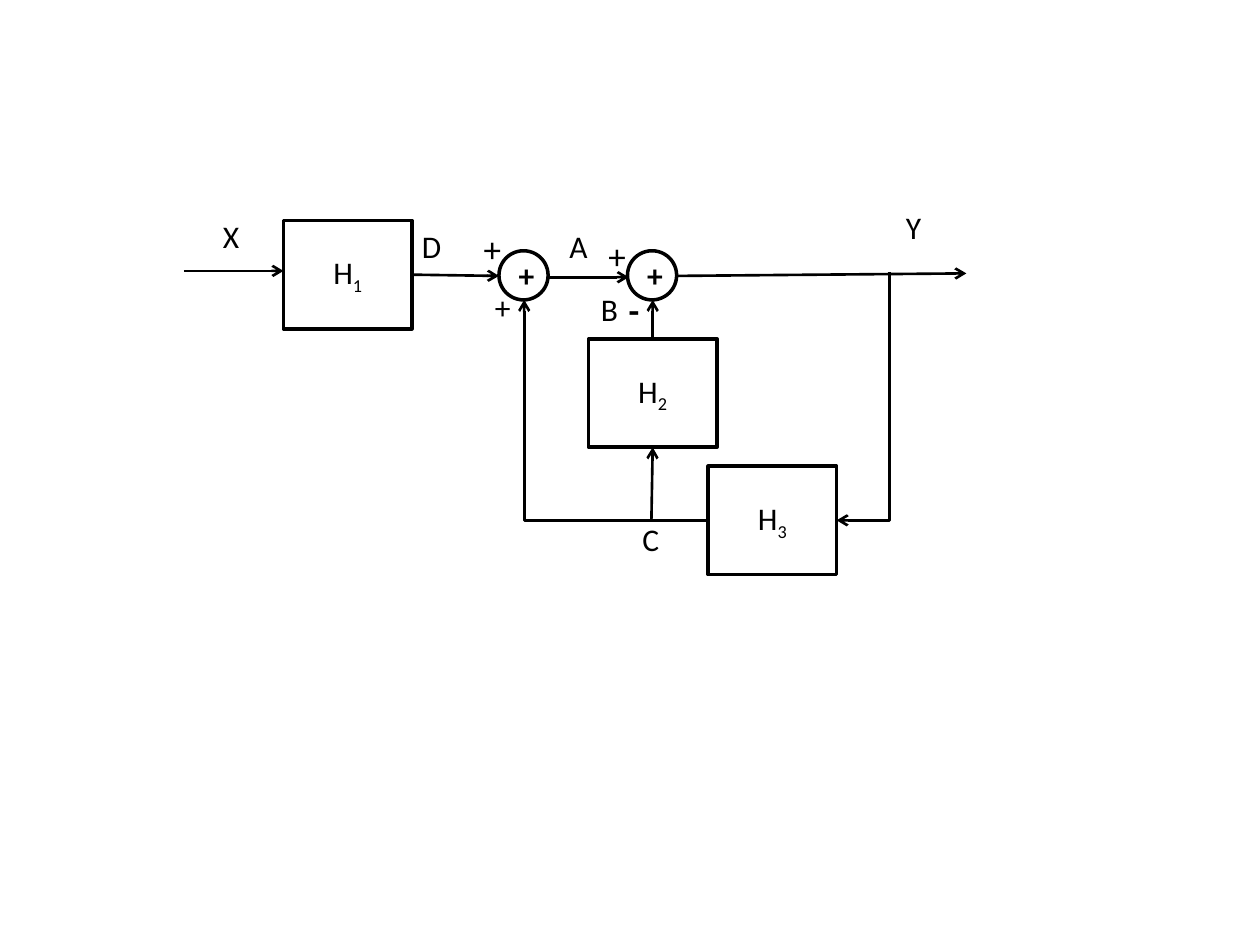
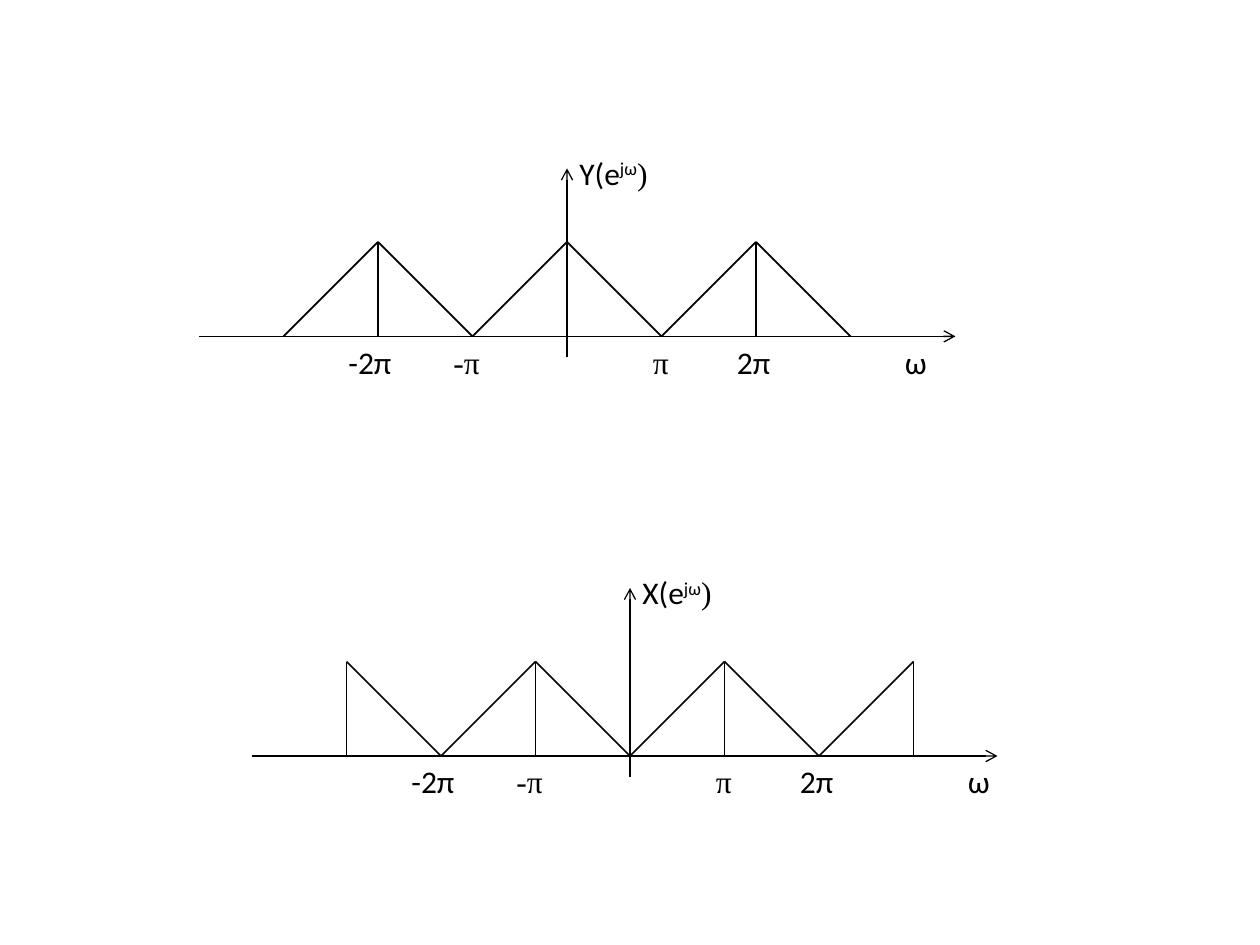
from lxml.etree import SubElement
from pptx import Presentation
from pptx.dml.color import RGBColor
from pptx.enum.shapes import MSO_CONNECTOR, MSO_SHAPE
from pptx.enum.text import MSO_ANCHOR, MSO_AUTO_SIZE, PP_ALIGN
from pptx.oxml.ns import qn
from pptx.util import Inches, Pt

WIDTH, HEIGHT = 10, 7.5
INK = "000000"
BODY, SERIF = "Calibri", "Times New Roman"
SUBSCRIPT, SUPERSCRIPT = -25, 30


def colour(value):
    return RGBColor.from_string(value)


def fill_text(frame, spans, points=18, bold=False, font=BODY):
    """Fill a frame from (text, baseline, font or None) spans."""
    para = frame.paragraphs[0]
    para.font.name, para.font.size = font, Pt(points)
    para.font.bold = bold
    para.font.color.rgb = colour(INK)
    for text, baseline, own_font in spans:
        span = para.add_run()
        span.text = text
        if baseline:
            span._r.get_or_add_rPr().set("baseline", str(baseline * 1000))
        if own_font:
            span.font.name = own_font
    return para


class Canvas:
    """A group of parts on a square grid, measured from its own origin."""

    def __init__(self, page, left, top, cell):
        self.shapes = page.shapes.add_group_shape().shapes
        self.left, self.top, self.cell = left, top, cell

    def point(self, x, y):
        return (Inches(self.left + x * self.cell),
                Inches(self.top + y * self.cell))

    def size(self, length):
        return Inches(length * self.cell)

    def label(self, spans, x, y, width, height, **style):
        if isinstance(spans, str):
            spans = [(spans, 0, None)]
        box = self.shapes.add_textbox(
            *self.point(x, y), self.size(width), self.size(height))
        frame = box.text_frame
        frame.word_wrap = False
        frame.auto_size = MSO_AUTO_SIZE.SHAPE_TO_FIT_TEXT
        fill_text(frame, spans, **style)

    def node(self, kind, spans, x, y, width, height, **style):
        shape = self.shapes.add_shape(
            kind, *self.point(x, y), self.size(width), self.size(height))
        shape.shadow.inherit = False
        shape.fill.background()
        shape.line.color.rgb = colour(INK)
        shape.line.width = Pt(2)
        shape.text_frame.vertical_anchor = MSO_ANCHOR.MIDDLE
        para = fill_text(shape.text_frame, spans, **style)
        para.alignment = PP_ALIGN.CENTER

    def line(self, begin, end, weight, arrow=False, kind=MSO_CONNECTOR.STRAIGHT):
        connector = self.shapes.add_connector(
            kind, *self.point(*begin), *self.point(*end))
        connector.line.color.rgb = colour(INK)
        connector.line.width = Pt(weight)
        properties = connector._element.spPr
        if arrow:
            SubElement(properties.find(qn("a:ln")), qn("a:tailEnd"),
                       type="arrow")
        SubElement(properties, qn("a:effectLst"))
        return properties

    def elbow(self, begin, end, weight, turns):
        """One-corner arrow: the preset shape rotated by quarter turns."""
        middle_x, middle_y = (begin[0] + end[0]) / 2, (begin[1] + end[1]) / 2
        dx, dy = end[0] - middle_x, end[1] - middle_y
        for _ in range(turns):
            dx, dy = dy, -dx
        properties = self.line((middle_x - dx, middle_y - dy),
                               (middle_x + dx, middle_y + dy),
                               weight, True, MSO_CONNECTOR.ELBOW)
        properties.find(qn("a:prstGeom")).set("prst", "bentConnector2")
        properties.find(qn("a:xfrm")).set("rot", str(turns * 5400000))


def block_diagram(page, left, top):
    canvas = Canvas(page, left, top, WIDTH / 100)
    weight = 1.5

    # System blocks
    for index, x, y in (("1", 7.9, 1.5), ("3", 41.6, 21), ("2", 32.1, 10.9)):
        canvas.node(MSO_SHAPE.RECTANGLE,
                    [("H", 0, None), (index, SUBSCRIPT, None)], x, y, 10.2, 8.6)

    # Adders
    for x in (25, 35.2):
        canvas.node(MSO_SHAPE.OVAL, [("+", 0, None)], x, 3.9, 3.9, 3.9,
                    bold=True)

    # Signal arrows
    for begin, end in (
        ((0, 5.5), (7.9, 5.5)),
        ((18.1, 5.8), (25, 5.9)),
        ((29, 6), (35.3, 6)),
        ((39.1, 5.9), (62.1, 5.7)),
        ((37.2, 10.9), (37.2, 7.8)),
        ((37.1, 25.4), (37.2, 19.5)),
    ):
        canvas.line(begin, end, weight, arrow=True)

    # Feedback paths
    canvas.elbow((41.6, 25.3), (27, 7.8), weight, turns=2)
    canvas.elbow((56, 5.6), (51.8, 25.3), weight, turns=1)

    # Signal names
    for text, x, y, width in (
        ("X", 2.1, 0.7, 3.3), ("Y", 56.3, 0, 3.2), ("A", 29.6, 1.5, 3.5),
        ("B", 32.1, 6.5, 3.4), ("C", 35.4, 24.8, 3.4), ("D", 17.9, 1.5, 3.6),
    ):
        canvas.label(text, x, y, width, 4)

    # Adder signs
    for text, x, y, width, points in (
        ("+", 22.8, 1.6, 3.4, 20), ("+", 32.7, 2.1, 3.4, 20),
        ("-", 34.3, 6.4, 2.9, 20), ("+", 23.7, 6.4, 3.3, 18),
    ):
        canvas.label(text, x, y, width, 4.4 if points == 20 else 4,
                     points=points, bold=text == "-")


def spectrum(page, origin_x, origin_y, name, peaks, axis_start, axis_end):
    """Triangular spectrum; peaks are counted in multiples of pi."""
    canvas = Canvas(page, origin_x, origin_y, WIDTH / 120)
    step, limit = 9, 3

    # Axes
    canvas.line((0, 2), (0, -16), 0.75, arrow=True)
    canvas.line((axis_start, 0), (axis_end, 0), 0.75, arrow=True)

    # Triangles, cut off at the limit
    for peak in peaks:
        top = (peak * step, -step)
        canvas.line(top, (peak * step, 0), 1)
        for foot in (peak - 1, peak + 1):
            if abs(foot) <= limit:
                canvas.line((foot * step, 0), top, 1)

    # Tick and axis labels
    for text, x, width, font in (
        ("-2π", -22, 6.6, BODY), ("-π", -12, 4.9, SERIF), ("π", 7, 4, SERIF),
        ("2π", 15, 5.6, BODY), ("ω", 31, 4.6, BODY),
    ):
        canvas.label(text, x, 0, width, 4.8, font=font)
    canvas.label([(name + "(e", 0, None), ("jω", SUPERSCRIPT, None),
                  (")", 0, SERIF)], 0, -18, 9.3, 4.8)


deck = Presentation()
deck.slide_width, deck.slide_height = Inches(WIDTH), Inches(HEIGHT)
blank = deck.slide_layouts[6]

# Slide 1: feedback system
block_diagram(deck.slides.add_slide(blank), 1.46, 1.6)

# Slide 2: input and output spectra
page = deck.slides.add_slide(blank)
spectrum(page, WIDTH / 2, HEIGHT * 0.8, "X", (-3, -1, 1, 3), -36, 35)
spectrum(page, WIDTH * 0.45, 2.67, "Y", (-2, 0, 2), -35, 37)

deck.save("out.pptx")
